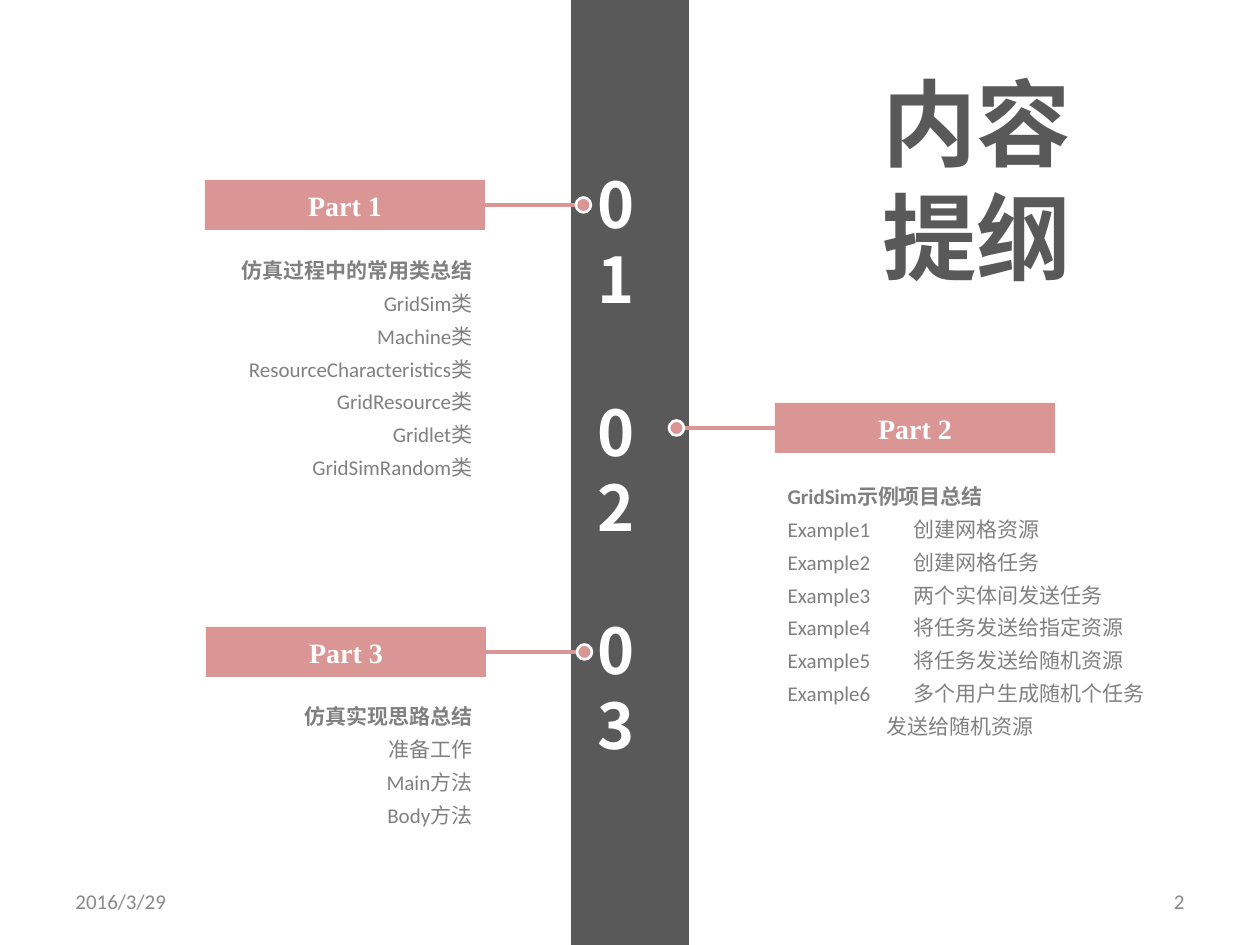
from lxml import etree
from pptx import Presentation
from pptx import util as u
from pptx.dml.color import RGBColor
from pptx.enum import shapes, text
from pptx.oxml.ns import qn

PX = 914400 / 126
PINK, DARK, WHITE, GREY, PALE = "D99694", "595959", "FFFFFF", "808080", "898989"
LEFT, CENTER, RIGHT = text.PP_ALIGN.LEFT, text.PP_ALIGN.CENTER, text.PP_ALIGN.RIGHT
TOP, MIDDLE = text.MSO_ANCHOR.TOP, text.MSO_ANCHOR.MIDDLE
BAR_W, BAR_H, DOT = 280, 50, 15
REACH, OVERLAP = 91, 28
LIST_X, LIST_W = {RIGHT: 78, LEFT: 775}, 407
TAB, CONTINUED = 106, 99

PARTS = [
    # name, number, bar x, bar y, number y, list y, list height, alignment, lines
    ("Part 1", "01", 205, 180, 155, 244, 244, RIGHT,
     ["仿真过程中的常用类总结", "GridSim类", "Machine类", "ResourceCharacteristics类",
      "GridResource类", "Gridlet类", "GridSimRandom类"]),
    ("Part 2", "02", 775, 403, 383, 470, 277, LEFT,
     ["GridSim示例项目总结", "Example1\t创建网格资源", "Example2\t创建网格任务",
      "Example3\t两个实体间发送任务", "Example4\t将任务发送给指定资源",
      "Example5\t将任务发送给随机资源", "Example6\t多个用户生成随机个任务",
      "发送给随机资源"]),
    ("Part 3", "03", 206, 627, 601, 690, 145, RIGHT,
     ["仿真实现思路总结", "准备工作", "Main方法", "Body方法"]),
]


def emu(px):
    return u.Emu(round(px * PX))


def color(value):
    return RGBColor.from_string(value)


class Outline:
    """Draws the elements of an outline page on one slide."""

    def __init__(self, page):
        self.page = page

    def place(self, shape, x, y, w, h):
        shape.left, shape.top, shape.width, shape.height = map(emu, (x, y, w, h))

    def add_words(self, para, words, size, font, fill, bold=False, align=LEFT):
        para.alignment = align
        span = para.add_run()
        span.text = words
        span.font.size, span.font.name, span.font.bold = u.Pt(size), font, bold
        span.font.color.rgb = color(fill)

    def solid(self, kind, x, y, w, h, fill, line=None):
        shape = self.page.shapes.add_shape(kind, *map(emu, (x, y, w, h)))
        shape.shadow.inherit = False
        shape.fill.solid()
        shape.fill.fore_color.rgb = color(fill)
        if line:
            shape.line.color.rgb = color(line)
            shape.line.width = u.Pt(1.5)
        else:
            shape.line.fill.background()
        return shape

    def bar(self, words, x, y):
        shape = self.solid(shapes.MSO_SHAPE.RECTANGLE, x, y, BAR_W, BAR_H, PINK)
        shape.text_frame.vertical_anchor = MIDDLE
        self.add_words(shape.text_frame.paragraphs[0], words, 16, "Times New Roman",
                       WHITE, True, CENTER)

    def link(self, start, end, y):
        line = self.page.shapes.add_connector(
            shapes.MSO_CONNECTOR.STRAIGHT, *map(emu, (start, y, end, y)))
        line.line.color.rgb = color(PINK)
        line.line.width = u.Pt(2.25)
        etree.SubElement(line._element.spPr, qn("a:effectLst"))

    def dot(self, x, middle):
        self.solid(shapes.MSO_SHAPE.OVAL, x, middle - DOT / 2, DOT, DOT, PINK, WHITE)

    def number(self, words, y):
        """Narrow box in which the two digits break onto two lines."""
        box = self.page.shapes.add_textbox(*map(emu, (585, y, 90, 90)))
        box.text_frame.word_wrap = True
        box.text_frame.margin_top = emu(11)
        para = box.text_frame.paragraphs[0]
        para.line_spacing = u.Pt(43)
        self.add_words(para, words, 36, "Noto Sans CJK JP", WHITE, True)

    def footer(self, words, x, align):
        box = self.page.shapes.add_textbox(*map(emu, (x, 876, 294, 50)))
        box.text_frame.word_wrap = True
        box.text_frame.vertical_anchor = MIDDLE
        self.add_words(box.text_frame.paragraphs[0], words, 12, "Calibri", PALE,
                       align=align)

    def title(self, lines):
        holder = self.page.shapes.title
        self.place(holder, 868, 59, 217, 242)
        frame = holder.text_frame
        frame.word_wrap = False
        frame.auto_size = text.MSO_AUTO_SIZE.NONE
        frame.vertical_anchor = TOP
        for i, words in enumerate(lines):
            para = frame.add_paragraph() if i else frame.paragraphs[0]
            self.add_words(para, words, 54, "Calibri", DARK, True, CENTER)

    def listing(self, holder, y, h, align, lines):
        """Bold heading, then plain lines; a line without a tab continues the one above."""
        self.place(holder, LIST_X[align], y, LIST_W, h)
        frame = holder.text_frame
        frame.word_wrap = True
        frame.auto_size = text.MSO_AUTO_SIZE.NONE
        frame.vertical_anchor = TOP
        for i, words in enumerate(lines):
            para = frame.add_paragraph() if i else frame.paragraphs[0]
            continued = i and align == LEFT and "\t" not in words
            props = para._p.get_or_add_pPr()
            props.set("marL", str(emu(CONTINUED if continued else 0)))
            props.set("indent", "0")
            etree.SubElement(props, qn("a:buNone"))
            if "\t" in words:
                tabs = etree.SubElement(props, qn("a:tabLst"))
                etree.SubElement(tabs, qn("a:tab"), pos=str(emu(TAB)), algn="l")
            para.line_spacing = 1.3
            para.space_before = u.Pt(0)
            self.add_words(para, words, 12, "Calibri", GREY, i == 0, align)


def main():
    deck = Presentation()
    deck.slide_width, deck.slide_height = u.Inches(10), u.Inches(7.5)
    page = deck.slides.add_slide(deck.slide_layouts[4])
    holders = [h for h in page.placeholders if h.placeholder_format.idx]
    outline = Outline(page)

    outline.footer("2016/3/29", 63, LEFT)
    outline.footer("2", 903, RIGHT)
    outline.solid(shapes.MSO_SHAPE.RECTANGLE, 571, 0, 118, 945, DARK)
    outline.title(["内容", "提纲"])
    for holder, part in zip(holders, PARTS):
        name, digits, x, y, number_y, list_y, list_h, align, lines = part
        middle = y + BAR_H / 2
        outline.number(digits, number_y)
        if align == RIGHT:
            end = x + BAR_W + REACH
            outline.link(x + BAR_W - OVERLAP, end, middle)
            outline.dot(end, middle)
        else:
            end = x - REACH
            outline.link(x + OVERLAP, end, middle)
            outline.dot(end - DOT, middle)
        outline.bar(name, x, y)
        outline.listing(holder, list_y, list_h, align, lines)
    for holder in holders[len(PARTS):]:
        holder._element.getparent().remove(holder._element)
    deck.save("out.pptx")


if __name__ == "__main__":
    main()
